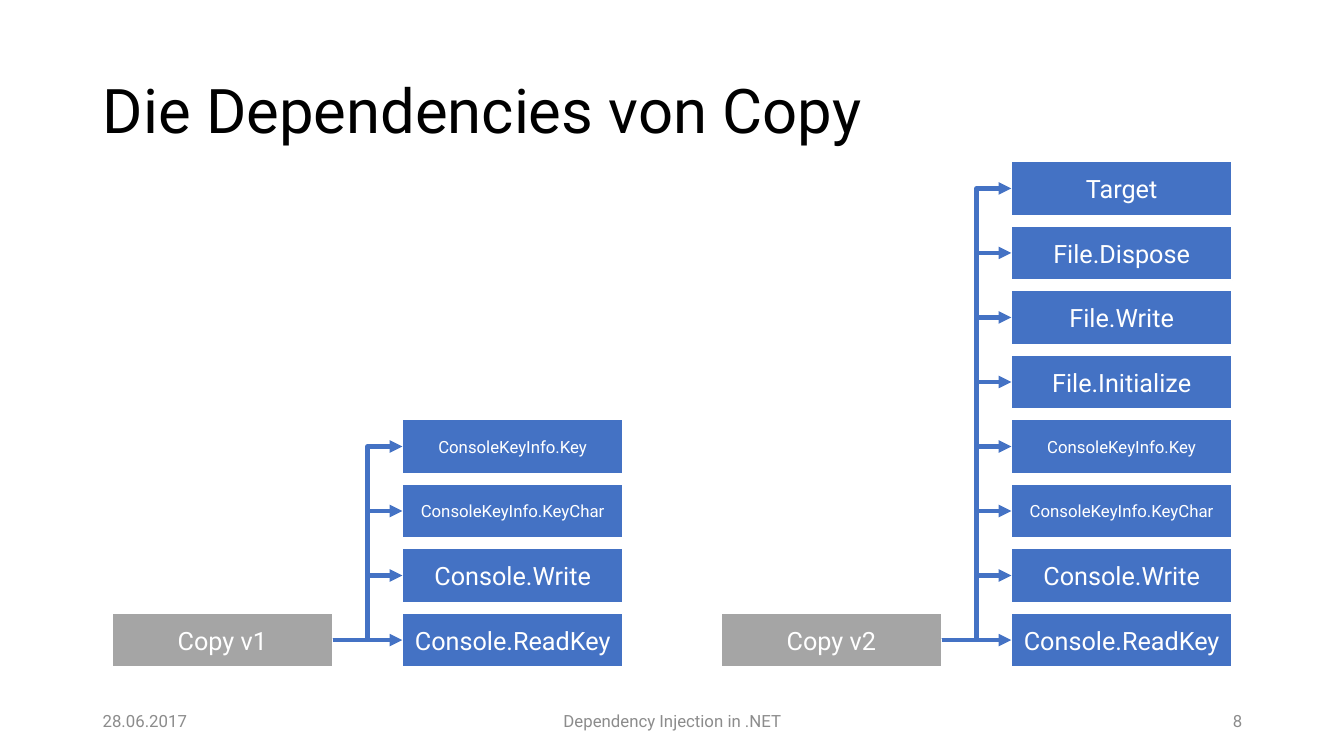
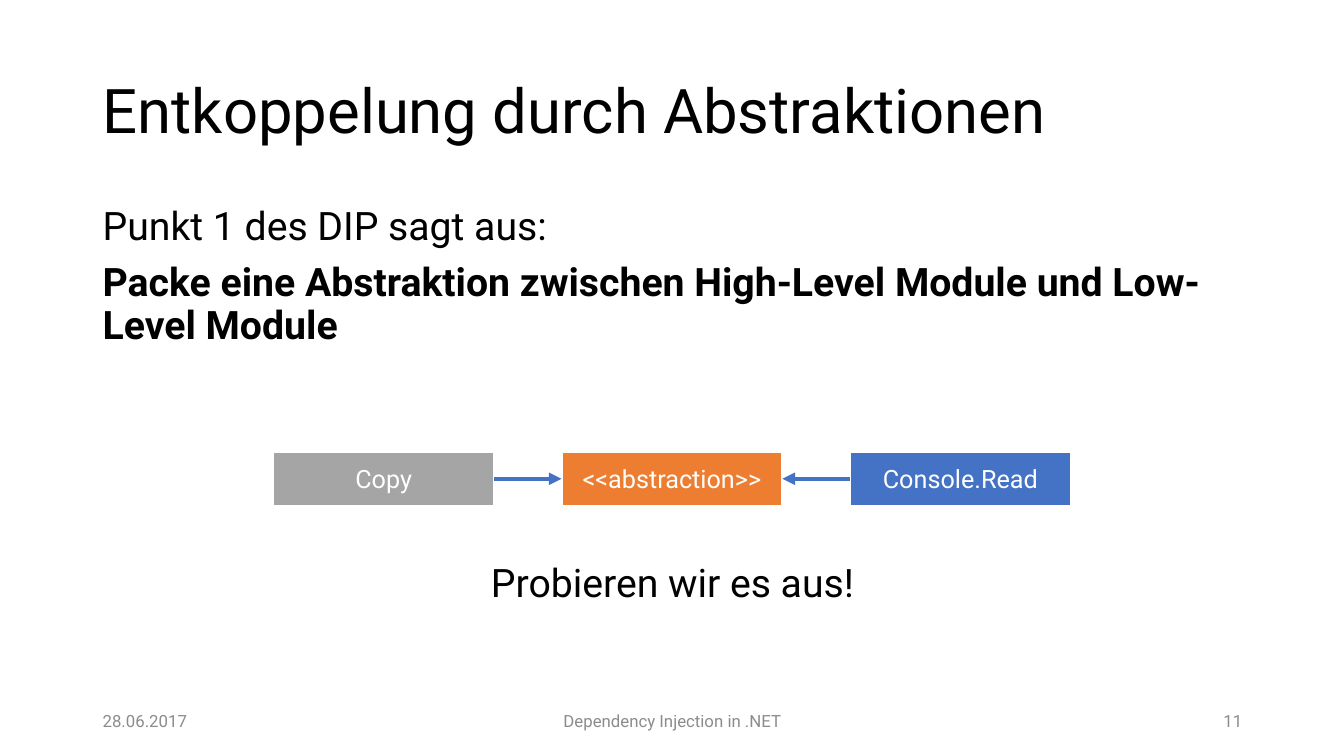
from dataclasses import dataclass

from lxml import etree
from pptx import Presentation, util as u
from pptx.dml.color import RGBColor
from pptx.enum import shapes, text
from pptx.oxml import ns


@dataclass(frozen=True)
class Theme:
    font: str = "Roboto"
    black: str = "000000"
    white: str = "FFFFFF"
    muted: str = "8C8C8C"
    gray: str = "A5A5A5"
    blue: str = "4472C4"
    orange: str = "ED7D31"
    title: int = 44
    body: int = 28
    label: int = 18
    small: int = 12
    line_spacing: float = 0.9
    outline: float = 1.5
    arrow: float = 3


@dataclass(frozen=True)
class Para:
    text: str
    size: int
    color: str
    bold: bool = False
    align: text.PP_ALIGN = text.PP_ALIGN.LEFT
    spacing: float = 1.0
    before: int = 0


@dataclass(frozen=True)
class Box:
    label: str
    color: str
    size: int


@dataclass(frozen=True)
class Tree:
    root: str
    left: float
    dependencies: list[Box]


T = Theme()
LEFT, RIGHT, CENTER = text.PP_ALIGN.LEFT, text.PP_ALIGN.RIGHT, text.PP_ALIGN.CENTER
MARGIN, CONTENT_W = 0.92, 11.5
BOX_W, BOX_H = 2.19, 0.54
BASE_TOP, ROW_PITCH, TREE_PITCH = 6.08, 0.64, 2.88
CHAIN_LEFT, CHAIN_TOP, CHAIN_PITCH = 2.71, 4.48, 2.86
SIDE_LEFT, SIDE_RIGHT = 1, 3
DATE, TOPIC = "28.06.2017", "Dependency Injection in .NET"

CONSOLE = [
    Box("Console.ReadKey", T.blue, T.label),
    Box("Console.Write", T.blue, T.label),
    Box("ConsoleKeyInfo.KeyChar", T.blue, T.small),
    Box("ConsoleKeyInfo.Key", T.blue, T.small),
]
FILE = [
    Box(name, T.blue, T.label)
    for name in ("File.Initialize", "File.Write", "File.Dispose", "Target")
]
TREES = [Tree("Copy v1", 1.11, CONSOLE), Tree("Copy v2", 7.15, CONSOLE + FILE)]
CHAIN = [
    Box("Copy", T.gray, T.label),
    Box("<<abstraction>>", T.orange, T.label),
    Box("Console.Read", T.blue, T.label),
]


def write(sp, paras: list[Para], anchor=text.MSO_ANCHOR.MIDDLE) -> None:
    tf = sp.text_frame
    tf.word_wrap = True
    tf.auto_size = text.MSO_AUTO_SIZE.NONE
    tf.vertical_anchor = anchor
    for i, para in enumerate(paras):
        p = tf.add_paragraph() if i else tf.paragraphs[0]
        p.alignment = para.align
        p.line_spacing = para.spacing
        p.space_before = u.Pt(para.before)
        r = p.add_run()
        r.text = para.text
        r.font.name = T.font
        r.font.size = u.Pt(para.size)
        r.font.bold = para.bold
        r.font.color.rgb = RGBColor.from_string(para.color)


def add_text(s, left: float, top: float, width: float, height: float,
             paras: list[Para], anchor=text.MSO_ANCHOR.MIDDLE) -> None:
    sp = s.shapes.add_textbox(*map(u.Inches, (left, top, width, height)))
    write(sp, paras, anchor)


def add_box(s, box: Box, left: float, top: float):
    sp = s.shapes.add_shape(shapes.MSO_SHAPE.RECTANGLE,
                            *map(u.Inches, (left, top, BOX_W, BOX_H)))
    sp.shadow.inherit = False
    sp.fill.solid()
    sp.fill.fore_color.rgb = RGBColor.from_string(box.color)
    sp.line.color.rgb = RGBColor.from_string(T.white)
    sp.line.width = u.Pt(T.outline)
    write(sp, [Para(box.label, box.size, T.white, align=CENTER)])
    return sp


def add_arrow(s, start, start_side: int, end, end_side: int) -> None:
    straight = start.top == end.top
    kind = shapes.MSO_CONNECTOR.STRAIGHT if straight else shapes.MSO_CONNECTOR.ELBOW
    c = s.shapes.add_connector(kind, start.left, start.top, end.left, end.top)
    c.begin_connect(start, start_side)
    c.end_connect(end, end_side)
    c.line.color.rgb = RGBColor.from_string(T.blue)
    c.line.width = u.Pt(T.arrow)
    etree.SubElement(c.line._get_or_add_ln(), ns.qn("a:tailEnd"), type="triangle")
    etree.SubElement(c._element.spPr, ns.qn("a:effectLst"))


def add_slide(prs, title: str, number: int):
    s = prs.slides.add_slide(prs.slide_layouts[5])
    sp = s.shapes.title
    sp.left, sp.top = u.Inches(MARGIN), u.Inches(0.4)
    sp.width, sp.height = u.Inches(CONTENT_W), u.Inches(1.45)
    write(sp, [Para(title, T.title, T.black, spacing=T.line_spacing)])
    footers = [
        (MARGIN, 3, DATE, LEFT),
        (4.42, 4.5, TOPIC, CENTER),
        (9.42, 3, str(number), RIGHT),
    ]
    for left, width, label, align in footers:
        add_text(s, left, 6.95, width, 0.4, [Para(label, T.small, T.muted, align=align)])
    return s


def draw_tree(s, tree: Tree) -> None:
    root = add_box(s, Box(tree.root, T.gray, T.label), tree.left, BASE_TOP)
    for row, box in enumerate(tree.dependencies):
        sp = add_box(s, box, tree.left + TREE_PITCH, BASE_TOP - row * ROW_PITCH)
        add_arrow(s, root, SIDE_RIGHT, sp, SIDE_LEFT)


def build_dependencies(prs) -> None:
    s = add_slide(prs, "Die Dependencies von Copy", 8)
    for tree in TREES:
        draw_tree(s, tree)


def build_abstraction(prs) -> None:
    s = add_slide(prs, "Entkoppelung durch Abstraktionen", 11)
    add_text(s, MARGIN, 2, CONTENT_W, 2.05, [
        Para("Punkt 1 des DIP sagt aus:", T.body, T.black, spacing=T.line_spacing),
        Para("Packe eine Abstraktion zwischen High-Level Module und Low-Level Module",
             T.body, T.black, bold=True, spacing=T.line_spacing, before=10),
    ], text.MSO_ANCHOR.TOP)
    copy_box, abstraction, console = [
        add_box(s, box, CHAIN_LEFT + i * CHAIN_PITCH, CHAIN_TOP)
        for i, box in enumerate(CHAIN)
    ]
    add_arrow(s, copy_box, SIDE_RIGHT, abstraction, SIDE_LEFT)
    add_arrow(s, console, SIDE_LEFT, abstraction, SIDE_RIGHT)
    add_text(s, MARGIN, 5.54, CONTENT_W, 0.77, [
        Para("Probieren wir es aus!", T.body, T.black, align=CENTER,
             spacing=T.line_spacing),
    ], text.MSO_ANCHOR.TOP)


def main() -> None:
    prs = Presentation()
    prs.slide_width, prs.slide_height = u.Inches(13.33), u.Inches(7.5)
    build_dependencies(prs)
    build_abstraction(prs)
    prs.save("out.pptx")


if __name__ == "__main__":
    main()
